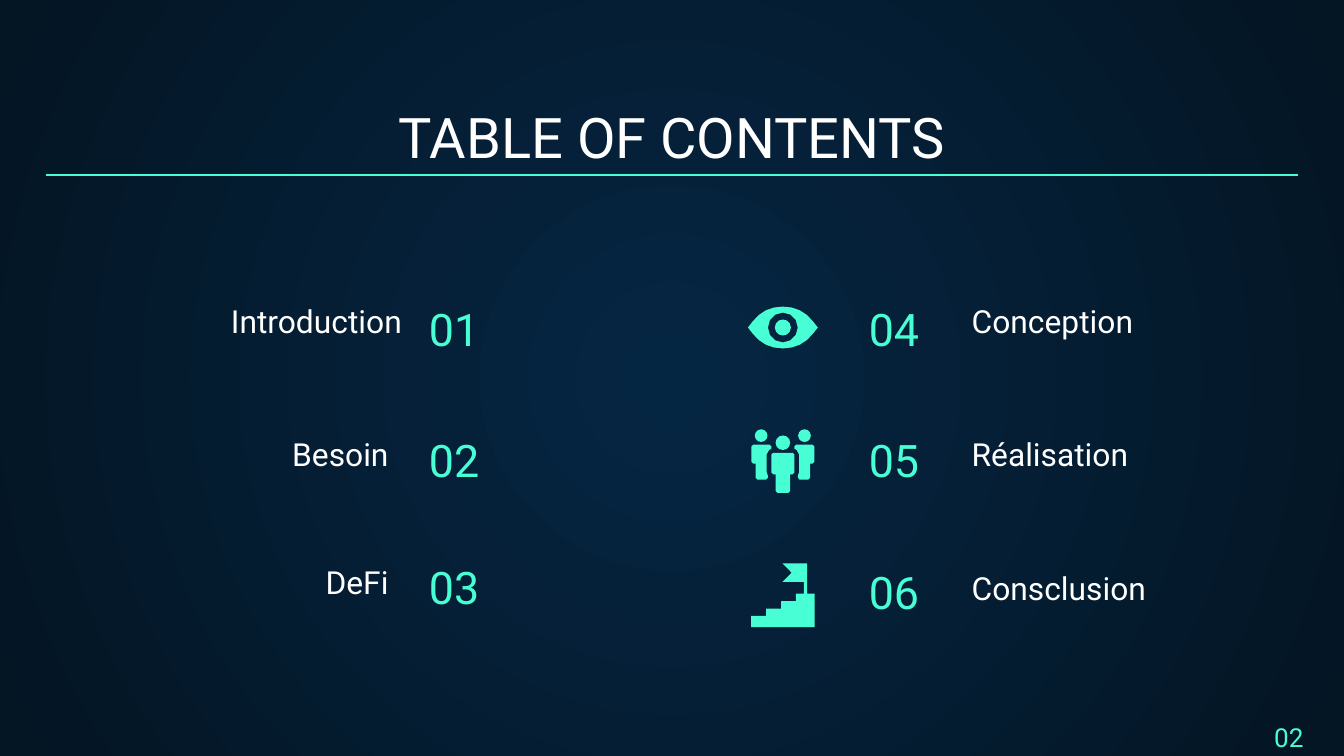
from math import cos, sin, tau, hypot
from lxml import etree
from pptx import Presentation
from pptx.dml.color import RGBColor
from pptx.enum.shapes import MSO_CONNECTOR, MSO_SHAPE
from pptx.enum.text import MSO_ANCHOR, MSO_AUTO_SIZE, PP_ALIGN
from pptx.oxml.ns import qn
from pptx.util import Pt

MINT, WHITE = "48FFD5", "FFFFFF"
MID = 419.4  # centre line of the icons


def color(code):
    return RGBColor.from_string(code)


def set_back(slide, inner, outer):
    """Radial gradient from the centre of the slide."""
    fill = slide.background.fill
    fill.gradient()
    for stop, code in zip(fill.gradient_stops, (inner, outer)):
        stop.color.rgb = color(code)
    grad = slide.element.find(".//" + qn("a:gradFill"))
    grad.remove(grad.find(qn("a:lin")))
    ring = etree.SubElement(grad, qn("a:path"), {"path": "circle"})
    etree.SubElement(ring, qn("a:fillToRect"), dict.fromkeys("ltrb", "50000"))


def add_text(slide, text, x, y, w, h, size=17, code=WHITE,
             align=PP_ALIGN.LEFT, anchor=MSO_ANCHOR.BOTTOM):
    box = slide.shapes.add_textbox(Pt(x), Pt(y), Pt(w), Pt(h))
    frame = box.text_frame
    frame.word_wrap = True
    frame.auto_size = MSO_AUTO_SIZE.NONE
    frame.vertical_anchor = anchor
    frame.margin_left = frame.margin_right = Pt(7.2)
    frame.margin_top = frame.margin_bottom = Pt(7.2)
    para = frame.paragraphs[0]
    para.alignment = align
    run = para.add_run()
    run.text = text
    run.font.name = "Roboto"
    run.font.size = Pt(size)
    run.font.color.rgb = color(code)


def paint(shape):
    shape.shadow.inherit = False
    shape.fill.solid()
    shape.fill.fore_color.rgb = color(MINT)
    shape.line.fill.background()


def add_dot(slide, x, y, r):
    paint(slide.shapes.add_shape(
        MSO_SHAPE.OVAL, Pt(x - r), Pt(y - r), Pt(2 * r), Pt(2 * r)))


def add_free(slide, *loops):
    """Fill closed loops of points; inner loops cut holes."""
    first, *rest = [[(Pt(x), Pt(y)) for x, y in loop] for loop in loops]
    pen = slide.shapes.build_freeform(*first[0])
    pen.add_line_segments(first[1:], close=True)
    for loop in rest:
        pen.move_to(*loop[0])
        pen.add_line_segments(loop[1:], close=True)
    paint(pen.convert_to_shape())


def circle(x, y, r, n=12):
    return [(x + r * cos(tau * i / n), y + r * sin(tau * i / n))
            for i in range(n)]


def toward(start, end, dist):
    part = dist / hypot(end[0] - start[0], end[1] - start[1])
    return [a + (b - a) * part for a, b in zip(start, end)]


def soften(nodes):
    """Round each corner (x, y, cut): a bevel if small, else a curve."""
    loop = []
    for i, (x, y, cut) in enumerate(nodes):
        if not cut:
            loop.append((x, y))
            continue
        start = toward((x, y), nodes[i - 1][:2], cut)
        end = toward((x, y), nodes[(i + 1) % len(nodes)][:2], cut)
        n = 1 if cut < 2 else 4
        for k in range(n + 1):
            t = k / n
            loop.append(tuple((1 - t) ** 2 * a + 2 * t * (1 - t) * b + t * t * c
                              for a, b, c in zip(start, (x, y), end)))
    return loop


def add_eye(slide, y):
    lens = [(-18.7, 0, 0), (-10, -11.2, 10), (10, -11.2, 10),
            (18.7, 0, 0), (10, 11.2, 10), (-10, 11.2, 10)]
    add_free(slide, soften([(MID + x, y + dy, cut) for x, dy, cut in lens]),
             circle(MID, y, 8), circle(MID, y, 4.3))


def add_team(slide):
    # Outer people, mirrored about the centre line
    side = [(-16.9, 238.2, 1), (-16.9, 248.4, 1), (-14.6, 248.4, 0),
            (-14.6, 257, 1), (-8, 257, 1), (-8, 254.9, 0),
            (-8.7, 252.9, 0), (-8.7, 242, 1.5), (-6.1, 240.3, 0),
            (-6.1, 238.2, 1)]
    for sign in (1, -1):
        add_dot(slide, MID - sign * 11.6, 233.4, 3.4)
        add_free(slide, soften([(MID + sign * x, y, c) for x, y, c in side]))
    # Front person
    half = [(6.2, 242.6, 1), (6.2, 254.2, 1),
            (3.9, 254.2, 0), (3.9, 264.1, 1)]
    back = [(-x, y, c) for x, y, c in reversed(half)]
    add_dot(slide, MID, 237.2, 3.9)
    add_free(slide, soften([(MID + x, y, c) for x, y, c in half + back]))


def add_goal(slide):
    add_free(slide, [
        (419.2, 301.8), (424.1, 306.8), (419.2, 311.8), (430.6, 311.8),
        (430.6, 318), (426.4, 318), (426.4, 322), (418.4, 322),
        (418.4, 326), (410.4, 326), (410.4, 330), (402.4, 330),
        (402.4, 336), (436.4, 336), (436.4, 318), (432.4, 318),
        (432.4, 301.8)])


def add_rule(slide, x, y, end):
    line = slide.shapes.add_connector(
        MSO_CONNECTOR.STRAIGHT, Pt(x), Pt(y), Pt(end), Pt(y))
    line.line.color.rgb = color(MINT)
    line.line.width = Pt(0.75)
    etree.SubElement(line.element.spPr, qn("a:effectLst"))


def main():
    deck = Presentation()
    deck.slide_width, deck.slide_height = Pt(720), Pt(405)
    slide = deck.slides.add_slide(deck.slide_layouts[6])
    set_back(slide, "052643", "041523")

    # Heading
    add_text(slide, "TABLE OF CONTENTS", 24.5, 50.7, 671, 47.5,
             size=30, align=PP_ALIGN.CENTER)
    add_rule(slide, 24.5, 93.8, 695.5)

    # Left column: number, its top, name, name box
    left = [("01", 150.1, "Introduction", (105.9, 167, 116.6, 22.3)),
            ("02", 220.4, "Besoin", (144.7, 238.3, 70.6, 22.3)),
            ("03", 288.3, "DeFi", (82.8, 300.2, 132.5, 28.8))]
    for num, top, name, box in left:
        add_text(slide, num, 222.7, top, 92.9, 47.5, size=24, code=MINT)
        add_text(slide, name, *box, align=PP_ALIGN.RIGHT)

    # Right column
    for i, name in enumerate(("Conception", "Réalisation", "Consclusion")):
        add_text(slide, f"0{i + 4}", 406.6, 150.1 + 70.4 * i, 92.9, 47.5,
                 size=24, code=MINT, align=PP_ALIGN.RIGHT)
        add_text(slide, name, 513.4, 166.9 + 71.5 * i, 116.6, 22.3)

    # Icons
    add_eye(slide, 175.5)
    add_team(slide)
    add_goal(slide)

    # Page number
    add_text(slide, "02", 675.5, 379.4, 46.8, 31.7, size=14, code=MINT,
             anchor=MSO_ANCHOR.TOP)
    deck.save("out.pptx")


if __name__ == "__main__":
    main()
